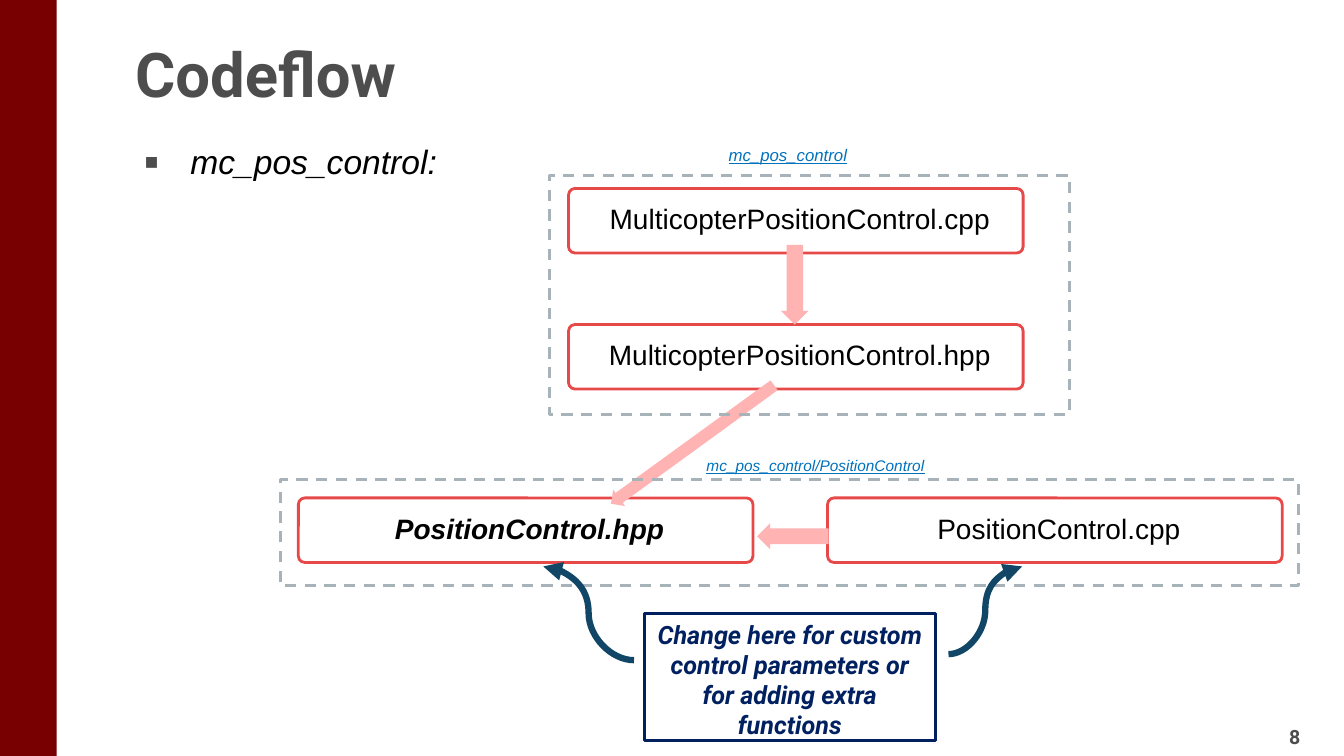
"""Build the Codeflow slide showing how the position control files relate."""
import pptx
import pptx.util
import pptx.dml.color
import pptx.enum.dml
import pptx.enum.shapes
import pptx.enum.text
import lxml.etree
from dataclasses import dataclass

SHAPE = pptx.enum.shapes.MSO_SHAPE
ALIGN = pptx.enum.text.PP_ALIGN
ANCHOR = pptx.enum.text.MSO_ANCHOR


@dataclass(frozen=True)
class Theme:
    head: str = "Roboto"
    body: str = "Arial"
    dark: str = "4D4D4D"
    band: str = "790000"
    white: str = "FFFFFF"
    black: str = "000000"
    box: str = "E74949"
    arrow: str = "FFB3B3"
    frame: str = "A7B2B9"
    note: str = "002060"
    curve: str = "114666"
    link: str = "0071BC"
    title: float = 44
    lead: float = 24
    file: float = 20
    remark: float = 18
    page: float = 14
    small: float = 12
    tiny: float = 11


T = Theme()
CELL = 0.1
WIDE, HIGH = 133.33, 75
BOX = (45.1, 6.4)

TITLE = "Codeflow"
LEAD = "mc_pos_control:"
NOTE = "Change here for custom control parameters or for adding extra functions"
PAGE = "8"
FILES = [
    ("MulticopterPositionControl.cpp", 56.4, 18.7, False),
    ("MulticopterPositionControl.hpp", 56.4, 32.2, False),
    ("PositionControl.cpp", 82.1, 49.4, False),
    ("PositionControl.hpp", 29.6, 49.4, True),
]
ARROWS = [
    ((74.9, 26.9, 7.9, 2.7), 90),
    ((58.7, 43.1, 20, 2), 144),
    ((75.1, 51.9, 7.1, 2.6), 180),
]
FRAMES = [(54.5, 17.4, 51.6, 23.7), (27.8, 47.6, 101, 10.5)]
CURVES = [(94.1, 64.9, 101.4, 56.2), (62.9, 65.5, 53.9, 56.2)]
LINKS = [
    ("mc_pos_control/PositionControl", (69.1, 44.8, 24.5, 2.9), T.tiny),
    ("mc_pos_control", (71.3, 13.9, 14.1, 3), T.small),
]


def grid(*cells):
    return [pptx.util.Inches(c * CELL) for c in cells]


def rgb(code):
    return pptx.dml.color.RGBColor.from_string(code)


def add(node, tag, **attrs):
    name = "{http://schemas.openxmlformats.org/drawingml/2006/main}" + tag
    return lxml.etree.SubElement(node, name, attrs)


def bullet(para):
    props = para._p.get_or_add_pPr()
    dent = grid(4.6)[0]
    props.set("marL", str(dent))
    props.set("indent", str(-dent))
    add(add(props, "buClr"), "srgbClr", val=T.dark)
    add(props, "buSzPct", val="130000")
    add(props, "buFont", typeface=T.body)
    add(props, "buChar", char="▪")


def write(shape, text, face, size, color, bold=False, slant=False, under=False,
          align=ALIGN.LEFT, anchor=ANCHOR.TOP, dot=False):
    frame = shape.text_frame
    frame.word_wrap, frame.vertical_anchor = True, anchor
    frame.text = text
    para = frame.paragraphs[0]
    para.alignment = align
    if dot:
        bullet(para)
    font = para.font
    font.name, font.size, font.color.rgb = face, pptx.util.Pt(size), rgb(color)
    font.bold, font.italic, font.underline = bold, slant, under
    return para


def draw(slide, kind, cells, fill=None, line=None, width=2):
    shape = slide.shapes.add_shape(kind, *grid(*cells))
    shape.shadow.inherit = False
    if fill:
        shape.fill.solid()
        shape.fill.fore_color.rgb = rgb(fill)
    else:
        shape.fill.background()
    if line:
        shape.line.color.rgb = rgb(line)
        shape.line.width = pptx.util.Pt(width)
    else:
        shape.line.fill.background()
    return shape


def base(slide):
    draw(slide, SHAPE.RECTANGLE, (0, 0, 5.63, HIGH), T.band)
    page = slide.shapes.add_textbox(*grid(126.9, 71.4, 4.7, 3.3))
    write(page, PAGE, T.head, T.page, T.dark, bold=True)


def words(slide):
    title = slide.shapes.title
    title.left, title.top, title.width, title.height = grid(13.4, 2.1, 108.5, 8.7)
    frame = title.text_frame
    frame.auto_size = pptx.enum.text.MSO_AUTO_SIZE.NONE
    frame.margin_left = frame.margin_right = frame.margin_top = frame.margin_bottom = 0
    write(title, TITLE, T.head, T.title, T.dark, bold=True).line_spacing = 1.2
    lead = slide.shapes.add_textbox(*grid(13.3, 13.5, 107.1, 51.9))
    write(lead, LEAD, T.body, T.lead, T.black, slant=True, dot=True)


def flow(slide):
    for text, col, row, strong in FILES:
        box = draw(slide, SHAPE.ROUNDED_RECTANGLE, (col, row, *BOX), T.white, T.box)
        box.adjustments[0] = 0.1
        box.text_frame.margin_left, box.text_frame.margin_right = grid(2.7, 1.9)
        para = write(box, text, T.body, T.file, T.black, bold=strong, slant=strong,
                     align=ALIGN.CENTER, anchor=ANCHOR.MIDDLE)
        para.line_spacing = 0.9
    for cells, turn in ARROWS:
        arrow = draw(slide, SHAPE.RIGHT_ARROW, cells, T.arrow)
        arrow.adjustments[0] = 0.6
        arrow.rotation = turn
    for cells in FRAMES:
        frame = draw(slide, SHAPE.RECTANGLE, cells, line=T.frame)
        frame.line.dash_style = pptx.enum.dml.MSO_LINE.DASH


def notes(slide):
    note = draw(slide, SHAPE.RECTANGLE, (63.9, 60.9, 28.9, 12.6), line=T.note, width=2.25)
    write(note, NOTE, T.head, T.remark, T.note, bold=True, slant=True, align=ALIGN.CENTER)
    for ends in CURVES:
        curve = slide.shapes.add_connector(
            pptx.enum.shapes.MSO_CONNECTOR.CURVE, *grid(*ends))
        curve.line.color.rgb = rgb(T.curve)
        curve.line.width = pptx.util.Pt(4.5)
        add(curve.line._get_or_add_ln(), "tailEnd", type="triangle")
        add(curve._element.spPr, "effectLst")
    for text, cells, size in LINKS:
        label = slide.shapes.add_textbox(*grid(*cells))
        write(label, text, T.body, size, T.link, slant=True, under=True)


def main():
    deck = pptx.Presentation()
    deck.slide_width, deck.slide_height = grid(WIDE, HIGH)
    slide = deck.slides.add_slide(deck.slide_layouts[5])
    for part in (base, words, flow, notes):
        part(slide)
    deck.save("out.pptx")


if __name__ == "__main__":
    main()
